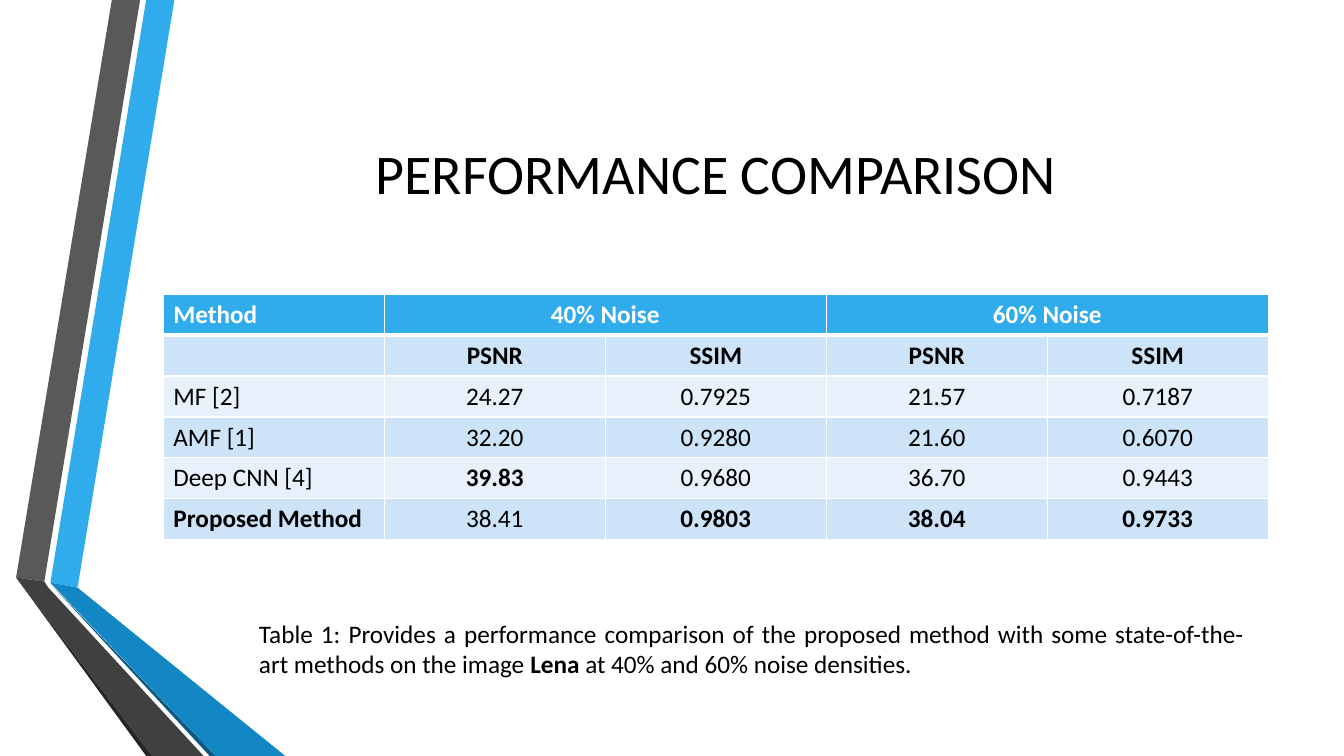
from lxml.etree import SubElement
from pptx import Presentation
from pptx.dml.color import RGBColor
from pptx.enum.text import MSO_ANCHOR, MSO_AUTO_SIZE, PP_ALIGN
from pptx.oxml.ns import qn
from pptx.util import Inches, Pt

BLACK, WHITE, BLUE = "000000", "FFFFFF", "30ACEC"
BANDS = ("CDE3F8", "E8F1FB")
RIBBONS = [
    (BLUE, [(0.5, 5.78), (0.77, 5.83), (1.73, 0), (1.45, 0)]),
    ("595959", [(1.39, 0), (1.11, 0), (0.16, 5.73), (0.44, 5.77)]),
    ("262626", [(0.16, 5.73), (1.45, 7.5), (1.51, 7.5)]),
    ("0C5A82", [(0.5, 5.79), (2.08, 7.5), (2.14, 7.5)]),
    ("1287C3", [(0.5, 5.78), (2.14, 7.5), (2.83, 7.5), (0.77, 5.83)]),
    ("404040", [(2.02, 7.5), (0.48, 5.83), (0.44, 5.77), (0.16, 5.73), (1.51, 7.5)]),
]
RESULTS = [
    ["Method", "40% Noise", "", "60% Noise", ""],
    ["", "PSNR", "SSIM", "PSNR", "SSIM"],
    ["MF [2]", "24.27", "0.7925", "21.57", "0.7187"],
    ["AMF [1]", "32.20", "0.9280", "21.60", "0.6070"],
    ["Deep CNN [4]", "39.83", "0.9680", "36.70", "0.9443"],
    ["Proposed Method", "38.41", "0.9803", "38.04", "0.9733"],
]
BEST = {"Proposed Method", "39.83", "0.9803", "38.04", "0.9733"}
CAPTION = [
    ("Table 1: Provides a performance comparison of the proposed method with some "
     "state-of-the-art methods on the image ", False),
    ("Lena", True),
    (" at 40% and 60% noise densities.", False),
]


def color(value):
    """Turn a hex string into a colour."""
    return RGBColor.from_string(value)


class SlideBuilder:
    """Hold the text style and the current slide."""

    def __init__(self, slide, font_name="Calibri", body_size=18):
        """Keep the slide and its style."""
        self.slide = slide
        self.font_name = font_name
        self.body_size = body_size

    def format_run(self, run, fill=BLACK, bold=False, size=None):
        """Apply the text style to a run."""
        run.font.name = self.font_name
        run.font.size = Pt(size or self.body_size)
        run.font.bold = bold
        run.font.color.rgb = color(fill)

    def ribbon(self, fill, points):
        """Draw a filled polygon without an outline."""
        corners = [(Inches(x), Inches(y)) for x, y in points]
        builder = self.slide.shapes.build_freeform(*corners[0])
        builder.add_line_segments(corners[1:], close=True)
        shape = builder.convert_to_shape()
        shape.shadow.inherit = False
        shape.fill.solid()
        shape.fill.fore_color.rgb = color(fill)
        shape.line.fill.background()

    def title(self, text, left, top, width, height):
        """Place and format the title placeholder."""
        shape = self.slide.shapes.title
        shape.left, shape.top = Inches(left), Inches(top)
        shape.width, shape.height = Inches(width), Inches(height)
        shape.text_frame.text = text
        shape.text_frame.vertical_anchor = MSO_ANCHOR.MIDDLE
        paragraph = shape.text_frame.paragraphs[0]
        paragraph.alignment = PP_ALIGN.CENTER
        self.format_run(paragraph.runs[0], size=40)

    def borders(self, cell, top, bottom):
        """Draw white cell borders with the given top and bottom widths."""
        properties = cell._tc.get_or_add_tcPr()
        widths = {"a:lnL": 1, "a:lnR": 1, "a:lnT": top, "a:lnB": bottom}
        for position, (tag, width) in enumerate(widths.items()):
            line = SubElement(properties, qn(tag), w=str(Pt(width)))
            fill = SubElement(line, qn("a:solidFill"))
            SubElement(fill, qn("a:srgbClr"), val=WHITE)
            properties.insert(position, line)

    def table(self, rows, left, top, width, height):
        """Add the banded results table with merged noise headings."""
        table = self.slide.shapes.add_table(
            len(rows), len(rows[0]), Inches(left), Inches(top),
            Inches(width), Inches(height)).table
        for row_index, row in enumerate(rows):
            for column_index, text in enumerate(row):
                cell = table.cell(row_index, column_index)
                header = row_index == 0
                cell.fill.solid()
                cell.fill.fore_color.rgb = color(
                    BLUE if header else BANDS[(row_index - 1) % 2])
                self.borders(cell, 3 if row_index == 1 else 1, 3 if header else 1)
                cell.vertical_anchor = MSO_ANCHOR.MIDDLE
                cell.text_frame.text = text
                paragraph = cell.text_frame.paragraphs[0]
                paragraph.alignment = PP_ALIGN.CENTER if column_index else PP_ALIGN.LEFT
                for run in paragraph.runs:
                    self.format_run(run, WHITE if header else BLACK,
                                    row_index < 2 or text in BEST)
        for column_index in (1, 3):
            table.cell(0, column_index).merge(table.cell(0, column_index + 1))

    def caption(self, parts, left, top, width, height):
        """Add a justified text box of plain and bold parts."""
        shape = self.slide.shapes.add_textbox(
            Inches(left), Inches(top), Inches(width), Inches(height))
        shape.text_frame.word_wrap = True
        shape.text_frame.auto_size = MSO_AUTO_SIZE.SHAPE_TO_FIT_TEXT
        paragraph = shape.text_frame.paragraphs[0]
        paragraph.alignment = PP_ALIGN.JUSTIFY
        for text, bold in parts:
            run = paragraph.add_run()
            run.text = text
            self.format_run(run, bold=bold)


def main():
    """Build the performance comparison slide."""
    presentation = Presentation()
    presentation.slide_width = Inches(13.33)
    presentation.slide_height = Inches(7.5)
    slide = presentation.slides.add_slide(presentation.slide_layouts[5])
    builder = SlideBuilder(slide)
    for fill, points in RIBBONS:
        builder.ribbon(fill, points)
    builder.title("PERFORMANCE COMPARISON", 1.62, 0.75, 10.96, 1.92)
    builder.table(RESULTS, 1.62, 2.92, 10.96, 2.43)
    builder.caption(CAPTION, 2.47, 6.08, 9.97, 0.71)
    presentation.save("out.pptx")


if __name__ == "__main__":
    main()
